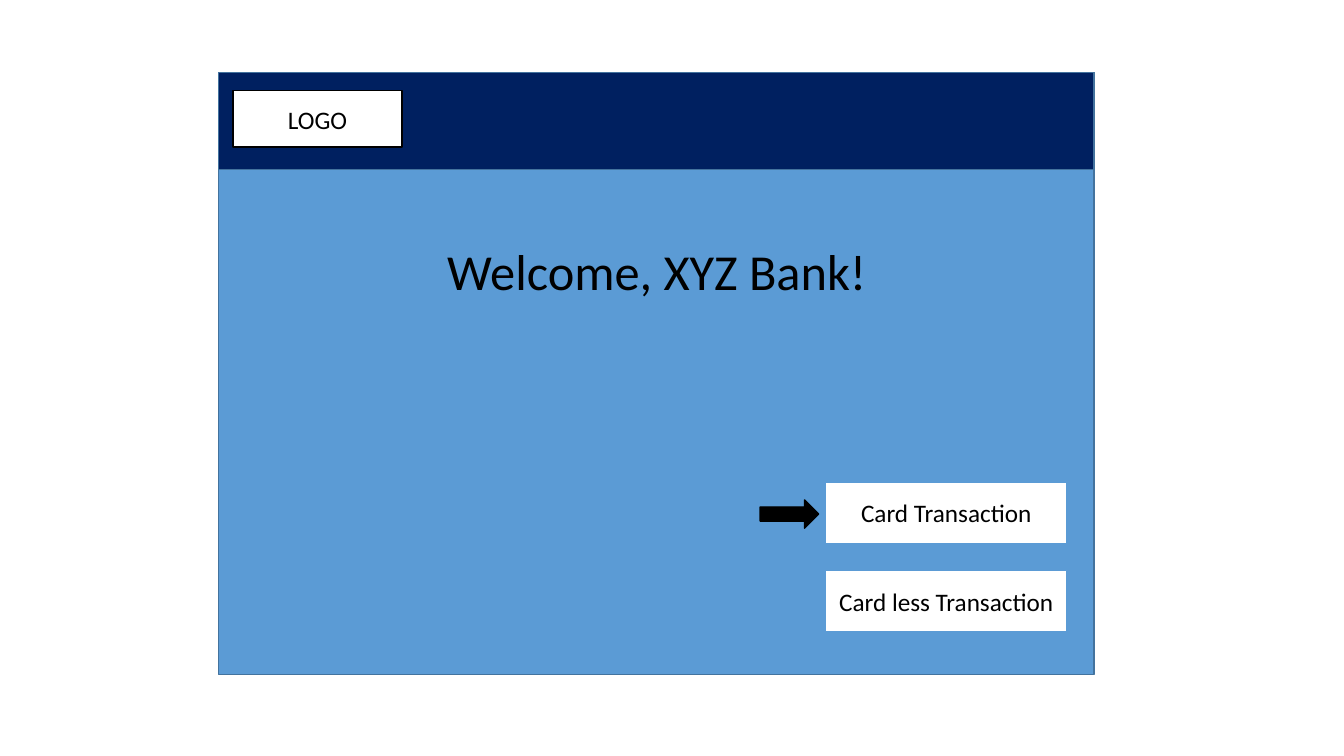
from dataclasses import dataclass

from pptx import Presentation
from pptx.dml.color import RGBColor
from pptx.enum.shapes import MSO_SHAPE
from pptx.enum.text import MSO_ANCHOR, PP_ALIGN
from pptx.shapes.autoshape import Shape
from pptx.slide import Slide
from pptx.util import Inches, Pt


@dataclass(frozen=True)
class Theme:
    font: str = "Calibri"
    label_size: int = 18
    title_size: int = 36
    line_width: int = 1
    ink: str = "000000"
    paper: str = "FFFFFF"
    screen: str = "5B9BD5"
    screen_edge: str = "43739E"
    header: str = "002060"


@dataclass(frozen=True)
class Area:
    left: float
    top: float
    width: float
    height: float


@dataclass(frozen=True)
class Block:
    area: Area
    fill: str
    edge: str
    label: str = ""
    preset: MSO_SHAPE = MSO_SHAPE.RECTANGLE


THEME = Theme()
SLIDE_WIDTH = Inches(13.33)
SLIDE_HEIGHT = Inches(7.5)


def place(area: Area) -> tuple[int, int, int, int]:
    """Turn percentages of the slide into lengths."""
    return (
        round(SLIDE_WIDTH * area.left / 100),
        round(SLIDE_HEIGHT * area.top / 100),
        round(SLIDE_WIDTH * area.width / 100),
        round(SLIDE_HEIGHT * area.height / 100),
    )


def write_text(box: Shape, text: str, size: int) -> None:
    box.text_frame.word_wrap = True
    para = box.text_frame.paragraphs[0]
    para.text = text
    para.alignment = PP_ALIGN.CENTER
    para.font.name = THEME.font
    para.font.size = Pt(size)
    para.font.color.rgb = RGBColor.from_string(THEME.ink)


def draw_block(page: Slide, block: Block) -> None:
    box = page.shapes.add_shape(block.preset, *place(block.area))
    box.shadow.inherit = False
    box.fill.solid()
    box.fill.fore_color.rgb = RGBColor.from_string(block.fill)
    box.line.color.rgb = RGBColor.from_string(block.edge)
    box.line.width = Pt(THEME.line_width)
    if block.label:
        box.text_frame.vertical_anchor = MSO_ANCHOR.MIDDLE
        write_text(box, block.label, THEME.label_size)


def draw_title(page: Slide, area: Area, text: str) -> None:
    box = page.shapes.add_textbox(*place(area))
    write_text(box, text, THEME.title_size)


SCREEN = Area(16.28, 9.6, 65.12, 79.6)
HEADER = Area(SCREEN.left, SCREEN.top, SCREEN.width, 12.8)
LOGO = Area(17.33, 12, 12.6, 7.47)
TITLE = Area(25.58, 31.07, 46.59, 9.47)
ARROW = Area(56.56, 66.13, 4.35, 3.73)
FIRST_BUTTON = Area(61.44, 63.73, 17.93, 8.13)
BUTTON_PITCH = 11.73
BUTTON_LABELS = ("Card Transaction", "Card less Transaction")

frame_blocks = [
    Block(SCREEN, THEME.screen, THEME.screen_edge),
    Block(HEADER, THEME.header, THEME.screen_edge),
    Block(LOGO, THEME.paper, THEME.ink, "LOGO"),
]
buttons = [
    Block(
        Area(
            FIRST_BUTTON.left,
            FIRST_BUTTON.top + row * BUTTON_PITCH,
            FIRST_BUTTON.width,
            FIRST_BUTTON.height,
        ),
        THEME.paper,
        THEME.screen,
        label,
    )
    for row, label in enumerate(BUTTON_LABELS)
]
arrow = Block(ARROW, THEME.ink, THEME.ink, preset=MSO_SHAPE.RIGHT_ARROW)

deck = Presentation()
deck.slide_width = SLIDE_WIDTH
deck.slide_height = SLIDE_HEIGHT
page = deck.slides.add_slide(deck.slide_layouts[6])

for block in frame_blocks:
    draw_block(page, block)
draw_title(page, TITLE, "Welcome, XYZ Bank!")
for block in [*buttons, arrow]:
    draw_block(page, block)

deck.save("out.pptx")
